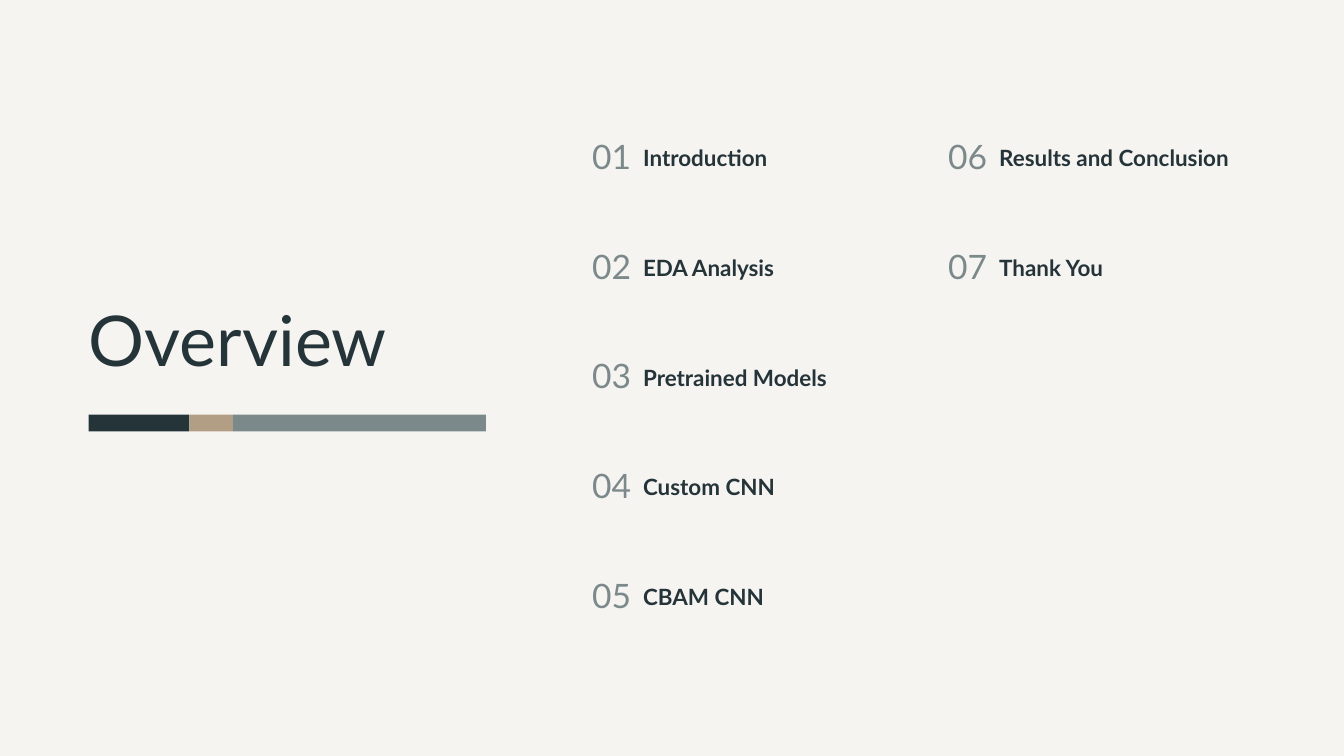
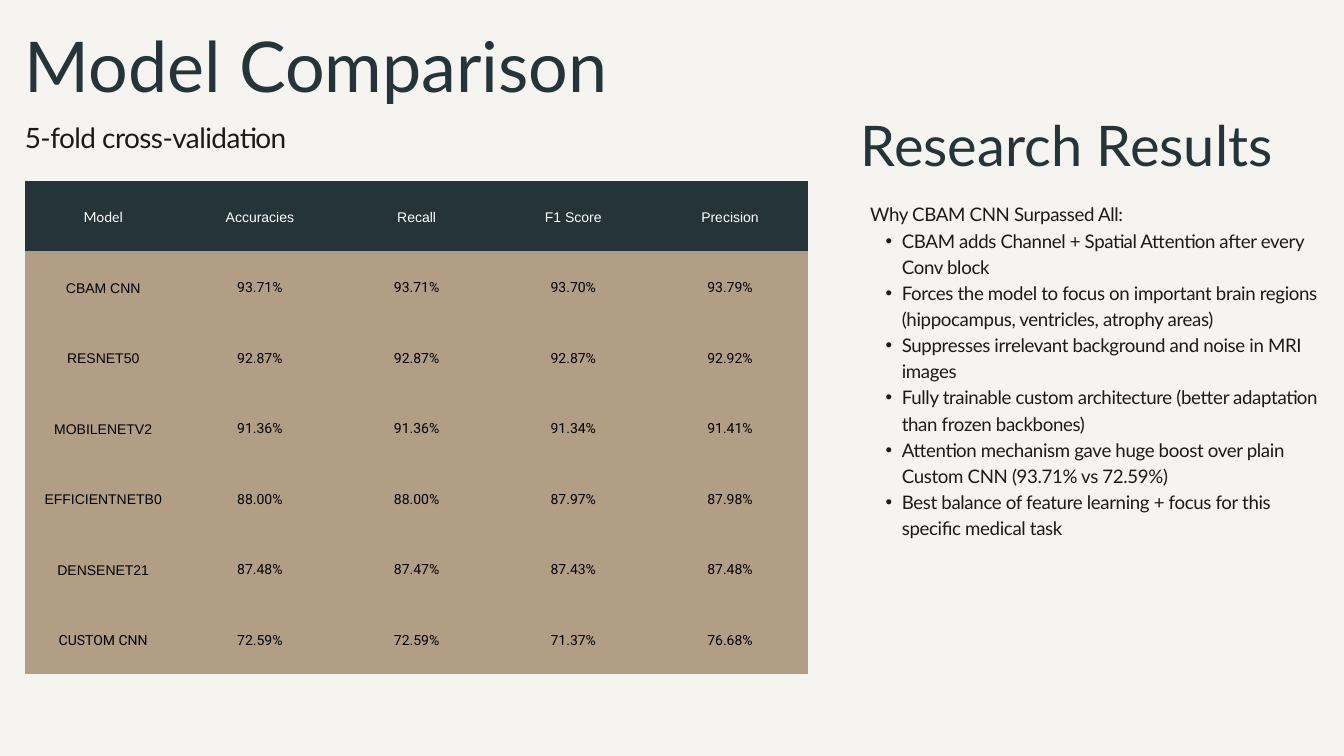
from lxml import etree
from pptx import Presentation
from pptx.dml.color import RGBColor
from pptx.enum import shapes, text
from pptx.oxml import ns
from pptx.util import Inches, Pt

CREAM = RGBColor(0xF6, 0xF4, 0xF1)
NAVY = RGBColor(0x25, 0x34, 0x39)
SLATE = RGBColor(0x7C, 0x89, 0x8B)
TAN = RGBColor(0xB2, 0x9E, 0x84)
INK = RGBColor(0x1C, 0x19, 0x1A)
WHITE = RGBColor(0xFF, 0xFF, 0xFF)
BLACK = RGBColor(0, 0, 0)

LEFT, RIGHT, CENTER, JUSTIFY = (
    text.PP_ALIGN.LEFT, text.PP_ALIGN.RIGHT, text.PP_ALIGN.CENTER, text.PP_ALIGN.JUSTIFY)

TITLE = dict(size=75, color=NAVY, leading=75)
HEADING = dict(size=60, color=NAVY, leading=60, align=JUSTIFY)
SUBTITLE = dict(size=30, color=INK, leading=63.6, tracking=-60)
NUMBER = dict(size=36, color=SLATE, leading=36, align=RIGHT)
TOPIC = dict(size=24, color=NAVY, leading=26.4, bold=True)
REASON_LEAD = dict(size=20, color=INK, leading=42.4, tracking=-40)
REASON = dict(REASON_LEAD, leading=28)
CELL = dict(size=15, leading=21, align=CENTER)

TOPICS = [
    "Introduction", "EDA Analysis", "Pretrained Models", "Custom CNN", "CBAM CNN",
    "Results and Conclusion", "Thank You",
]
TOPICS_PER_COLUMN = 5
STRIPES = [(1.5, NAVY), (0.65, TAN), (3.76, SLATE)]

SCORES = [
    ("Model", "Accuracies", "Recall", "F1 Score", "Precision"),
    ("CBAM CNN", "93.71%", "93.71%", "93.70%", "93.79%"),
    ("RESNET50", "92.87%", "92.87%", "92.87%", "92.92%"),
    ("MOBILENETV2", "91.36%", "91.36%", "91.34%", "91.41%"),
    ("EFFICIENTNETB0", "88.00%", "88.00%", "87.97%", "87.98%"),
    ("DENSENET21", "87.48%", "87.47%", "87.43%", "87.48%"),
    ("CUSTOM CNN", "72.59%", "72.59%", "71.37%", "76.68%"),
]
REASONS_LEAD = "Why CBAM CNN Surpassed All:"
REASONS = [
    "CBAM adds Channel + Spatial Attention after every Conv block",
    "Forces the model to focus on important brain regions (hippocampus, ventricles, atrophy areas)",
    "Suppresses irrelevant background and noise in MRI images",
    "Fully trainable custom architecture (better adaptation than frozen backbones)",
    "Attention mechanism gave huge boost over plain Custom CNN (93.71% vs 72.59%)",
    "Best balance of feature learning + focus for this specific medical task",
]


def write(paragraph, words, size, color, leading, align=LEFT, font="Lato", bold=False, tracking=0):
    layout = dict(alignment=align, line_spacing=Pt(leading), space_before=Pt(0), space_after=Pt(0))
    for name, value in layout.items():
        setattr(paragraph, name, value)
    run = paragraph.add_run()
    run.text = words
    for name, value in dict(name=font, size=Pt(size), bold=bold).items():
        setattr(run.font, name, value)
    run.font.color.rgb = color
    if tracking:
        run._r.get_or_add_rPr().set("spc", str(tracking))


def indent(paragraph, margin, hanging, bullet=None):
    props = paragraph._p.get_or_add_pPr()
    props.set("marL", str(Inches(margin)))
    props.set("indent", str(Inches(hanging)))
    mark = etree.SubElement(props, ns.qn("a:buChar" if bullet else "a:buNone"))
    if bullet:
        mark.set("char", bullet)


def open_frame(holder, place):
    for name, value in zip(("left", "top", "width", "height"), place):
        setattr(holder, name, Inches(value))
    frame = holder.text_frame
    settings = dict(
        margin_left=0, margin_top=0, margin_right=0, margin_bottom=0, word_wrap=True,
        auto_size=text.MSO_AUTO_SIZE.NONE, vertical_anchor=text.MSO_ANCHOR.TOP)
    for name, value in settings.items():
        setattr(frame, name, value)
    return frame


def add_label(slide, place, words, style):
    box = slide.shapes.add_textbox(0, 0, 0, 0)
    write(open_frame(box, place).paragraphs[0], words, **style)


def set_title(slide, place, words):
    write(open_frame(slide.shapes.title, place).paragraphs[0], words, **TITLE)


def add_stripes(slide, left, top, height):
    for width, color in STRIPES:
        stripe = slide.shapes.add_shape(
            shapes.MSO_SHAPE.RECTANGLE, Inches(left), Inches(top), Inches(width), Inches(height))
        stripe.shadow.inherit = False
        stripe.fill.solid()
        stripe.fill.fore_color.rgb = color
        stripe.line.fill.background()
        left += width


def add_topics(slide):
    for index, topic in enumerate(TOPICS):
        column, row = divmod(index, TOPICS_PER_COLUMN)
        left, top = 8.18 + 5.3 * column, 2.12 + 6.53 / 4 * row
        add_label(slide, (left, top, 1.21, 0.54), f"{index + 1:02}", NUMBER)
        add_label(slide, (left + 1.39, top + 0.06, 4.14, 0.38), topic, TOPIC)


def cell_font(row, column):
    if row == 0:
        return "Arial" if column else "Lato"
    return "Arial" if column == 0 and row < len(SCORES) - 1 else "Roboto"


def add_scores(slide):
    scores = slide.shapes.add_table(
        len(SCORES), len(SCORES[0]), Inches(0.37), Inches(2.69), Inches(11.66), Inches(7.34)).table
    scores.horz_banding = False
    for row, values in enumerate(SCORES):
        for column, value in enumerate(values):
            cell = scores.cell(row, column)
            for side in ("left", "top", "right", "bottom"):
                setattr(cell, f"margin_{side}", Inches(0.21))
            cell.vertical_anchor = text.MSO_ANCHOR.MIDDLE
            props = cell._tc.get_or_add_tcPr()
            for edge in ("lnL", "lnR", "lnT", "lnB"):
                border = etree.SubElement(props, ns.qn(f"a:{edge}"), w="0")
                etree.SubElement(border, ns.qn("a:noFill"))
            cell.fill.solid()
            cell.fill.fore_color.rgb = TAN if row else NAVY
            write(cell.text_frame.paragraphs[0], value, color=BLACK if row else WHITE,
                  font=cell_font(row, column), **CELL)


def add_reasons(slide):
    frame = open_frame(slide.placeholders[1], (12.95, 2.77, 6.66, 5.64))
    write(frame.paragraphs[0], REASONS_LEAD, **REASON_LEAD)
    indent(frame.paragraphs[0], 0, 0)
    for reason in REASONS:
        paragraph = frame.add_paragraph()
        paragraph.level = 1
        write(paragraph, reason, **REASON)
        indent(paragraph, 0.47, -0.24, "•")


def main():
    deck = Presentation()
    deck.slide_width, deck.slide_height = Inches(20), Inches(11.25)
    backdrop = deck.slide_master.background.fill
    backdrop.solid()
    backdrop.fore_color.rgb = CREAM

    overview = deck.slides.add_slide(deck.slide_layouts.get_by_name("Title Only"))
    set_title(overview, (1.32, 4.62, 6.68, 1.1), "Overview")
    add_stripes(overview, 1.32, 6.17, 0.25)
    add_topics(overview)

    comparison = deck.slides.add_slide(deck.slide_layouts.get_by_name("Title and Content"))
    set_title(comparison, (0.37, 0.55, 8.96, 1.1), "Model Comparison")
    add_label(comparison, (0.37, 1.41, 6.66, 0.78), "5-fold cross-validation", SUBTITLE)
    add_scores(comparison)
    add_label(comparison, (12.81, 1.81, 6.66, 0.89), "Research Results", HEADING)
    add_reasons(comparison)

    deck.save("out.pptx")


if __name__ == "__main__":
    main()
